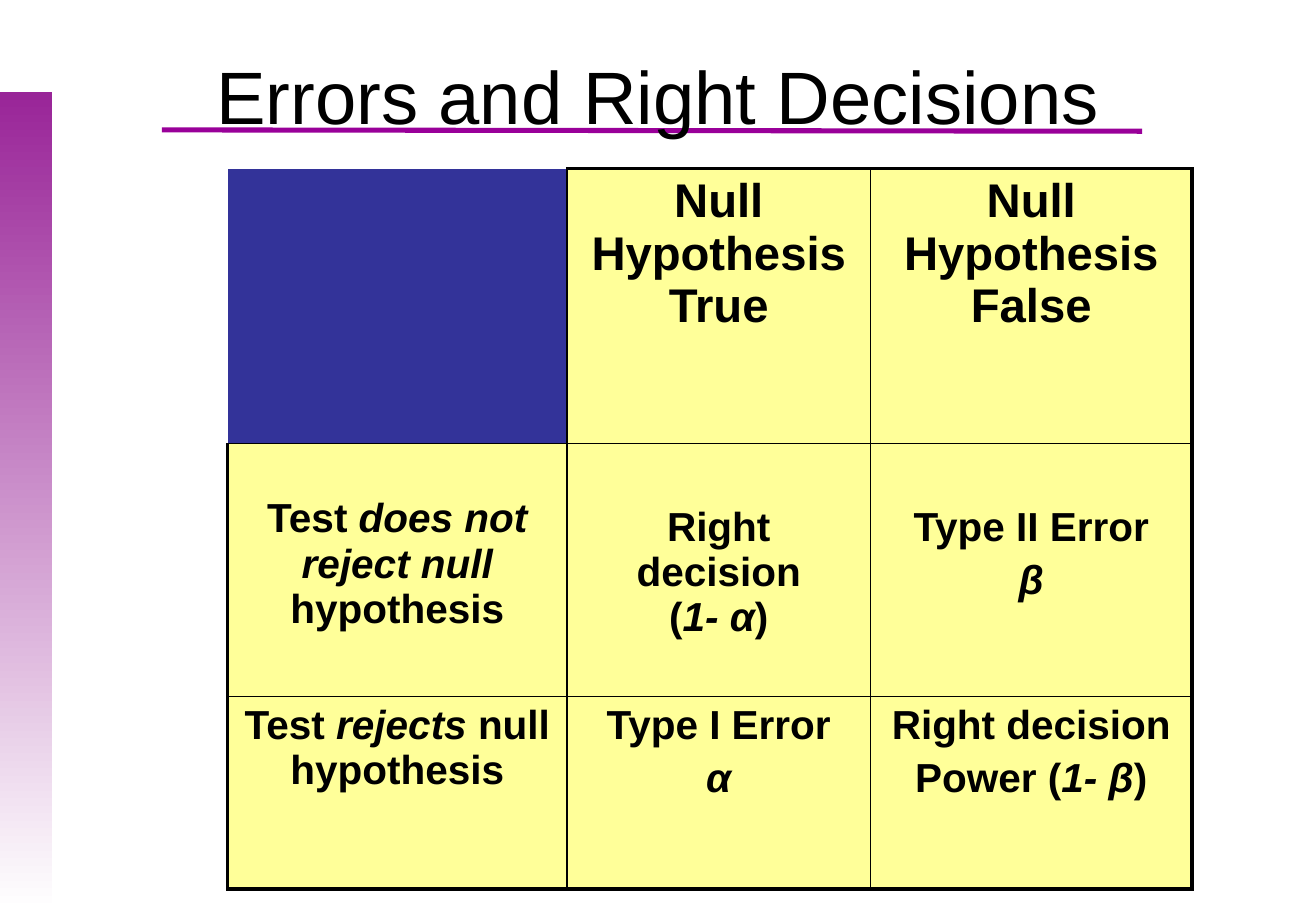
import pptx
import pptx.util
import pptx.dml.color
import pptx.enum.shapes
import pptx.enum.text
import pptx.oxml
import pptx.oxml.ns

Pt = pptx.util.Pt
RGBColor = pptx.dml.color.RGBColor
CENTER = pptx.enum.text.PP_ALIGN.CENTER
BLACK = RGBColor(0x00, 0x00, 0x00)
WHITE = RGBColor(0xFF, 0xFF, 0xFF)
PURPLE = RGBColor(0x99, 0x25, 0x98)
RULE_PURPLE = RGBColor(0x99, 0x00, 0x99)
NAVY = RGBColor(0x33, 0x33, 0x99)
YELLOW = RGBColor(0xFF, 0xFF, 0x99)
THIN, THICK = 1, 2.25


def add_text(paragraph, text, size, bold):
    """Fill a centred paragraph; parts between asterisks are italic."""
    paragraph.alignment = CENTER
    for index, part in enumerate(text.split("*")):
        if part:
            run = paragraph.add_run()
            run.text = part
            font_format = {"name": "Arial", "size": Pt(size), "bold": bold,
                           "italic": index % 2 == 1}
            for name, value in font_format.items():
                setattr(run.font, name, value)
            run.font.color.rgb = BLACK


def set_borders(cell, widths):
    """Draw black cell borders from widths by side; zero means no line."""
    properties = cell._tc.get_or_add_tcPr()
    for index, (side, width) in enumerate(widths.items()):
        paint = ('<a:solidFill><a:srgbClr val="000000"/></a:solidFill>'
                 if width else "<a:noFill/>")
        properties.insert(index, pptx.oxml.parse_xml(
            f'<a:ln{side} {pptx.oxml.ns.nsdecls("a")} w="{Pt(width)}">'
            f"{paint}</a:ln{side}>"))


presentation = pptx.Presentation()
presentation.slide_width = Pt(780)
presentation.slide_height = Pt(540)
slide = presentation.slides.add_slide(presentation.slide_layouts[6])

# Side band and rule under the title
band = slide.shapes.add_shape(pptx.enum.shapes.MSO_SHAPE.RECTANGLE,
                              Pt(0), Pt(54.7), Pt(31), Pt(485.3))
band.shadow.inherit = False
band.line.fill.background()
band.fill.gradient()
band.fill.gradient_angle = 270
for stop, color, position in zip(band.fill.gradient_stops, (PURPLE, WHITE), (0, 1)):
    stop.color.rgb = color
    stop.position = position

rule = slide.shapes.add_connector(pptx.enum.shapes.MSO_CONNECTOR.STRAIGHT,
                                  Pt(96), Pt(77), Pt(677), Pt(77.8))
rule.line.color.rgb = RULE_PURPLE
rule.line.width = Pt(3)
rule._element.spPr.append(pptx.oxml.parse_xml(
    f'<a:effectLst {pptx.oxml.ns.nsdecls("a")}/>'))

# Decision table: each cell is a list of (text, space before)
column_widths = (201, 180, 190.5)
row_heights = (163, 150, 114)
GAP = 4.8
rows = [
    [[], [("Null Hypothesis True", 0)], [("Null Hypothesis False", 0)]],
    [[("Test *does not reject null *hypothesis", 0)],
     [("Right decision", 0), ("(*1- α*)", 0)],
     [("Type II Error", 0), ("*β*", GAP)]],
    [[("Test *rejects *null hypothesis", 0)],
     [("Type I Error", 0), ("*α*", GAP)],
     [("Right decision", 0), ("Power (*1- β*)", GAP)]],
]
top_margins = {(1, 0): 31.2, (1, 1): 36, (1, 2): 36}

table = slide.shapes.add_table(3, 3, Pt(135), Pt(100), Pt(sum(column_widths)),
                               Pt(sum(row_heights))).table
table.first_row = False
table.horz_banding = False
for column, width in zip(table.columns, column_widths):
    column.width = Pt(width)
for row, height in zip(table.rows, row_heights):
    row.height = Pt(height)

for row_index, row in enumerate(rows):
    for column_index, paragraphs in enumerate(row):
        cell = table.cell(row_index, column_index)
        is_corner = not paragraphs
        margins = {"margin_left": 7.9, "margin_right": 7.9, "margin_bottom": 3.6,
                   "margin_top": top_margins.get((row_index, column_index), 3.6)}
        for name, value in margins.items():
            setattr(cell, name, Pt(value))
        cell.fill.solid()
        cell.fill.fore_color.rgb = NAVY if is_corner else YELLOW
        outer = 0 if is_corner else THICK
        set_borders(cell, {
            "L": outer if column_index == 0 else THIN,
            "R": THICK if column_index == 2 else THIN,
            "T": outer if row_index == 0 else THIN,
            "B": THICK if row_index == 2 else THIN,
        })
        for index, (text, space) in enumerate(paragraphs):
            frame = cell.text_frame
            paragraph = frame.add_paragraph() if index else frame.paragraphs[0]
            paragraph.space_before = Pt(space)
            add_text(paragraph, text, 28 if row_index == 0 else 24, True)

# Title
title = slide.shapes.add_textbox(Pt(39), Pt(26), Pt(702), Pt(58))
title.text_frame.word_wrap = True
add_text(title.text_frame.paragraphs[0], "Errors and Right Decisions", 44, False)

presentation.save("out.pptx")
